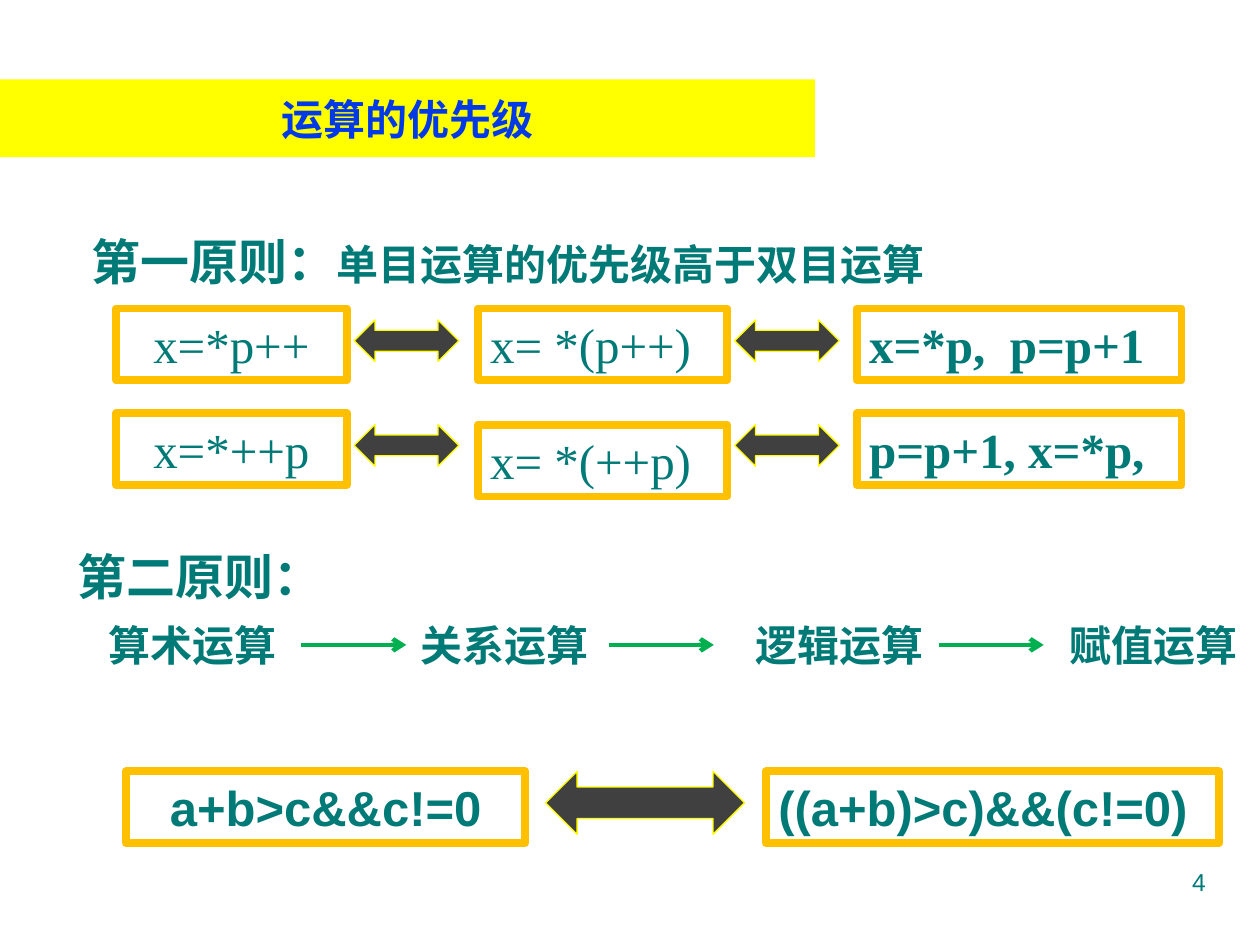
import pptx
import pptx.dml.color
import pptx.enum.shapes
import pptx.enum.text
import pptx.oxml
import pptx.oxml.ns
import pptx.util
from pptx.util import Cm

COLORS = {"text": "007A77", "title": "0039E5", "banner": "FFFF00", "frame": "FFC000",
          "arrow": "404040", "arrow_edge": "FFFF00", "step": "00B050"}
ALIGN = pptx.enum.text.PP_ALIGN
SHAPE = pptx.enum.shapes.MSO_SHAPE
SERIF, SANS = "Times New Roman", "Arial"
LINE_HEIGHT = 1.45


def rgb(name):
    """Return the named colour."""
    return pptx.dml.color.RGBColor.from_string(COLORS[name])


def write(shape, runs, font=SERIF, bold=True, align=ALIGN.LEFT, color="text",
          wrap=True, grow=True):
    """Write (text, size) runs into the first paragraph of a shape."""
    frame = shape.text_frame
    frame.word_wrap = wrap
    fit = pptx.enum.text.MSO_AUTO_SIZE
    frame.auto_size = fit.SHAPE_TO_FIT_TEXT if grow else fit.NONE
    paragraph = frame.paragraphs[0]
    paragraph.alignment = align
    for text, size in runs:
        run = paragraph.add_run()
        run.text = text
        run.font.name = font
        run.font.size = pptx.util.Pt(size)
        run.font.bold = bold
        run.font.color.rgb = rgb(color)


def add_label(slide, left, top, width, height, runs, **style):
    """Add a text box."""
    box = slide.shapes.add_textbox(Cm(left), Cm(top), Cm(width), Cm(height))
    write(box, runs, **style)


def add_formula(slide, left, top, width, text, **style):
    """Add a framed expression."""
    box = slide.shapes.add_shape(SHAPE.RECTANGLE, Cm(left), Cm(top), Cm(width), Cm(LINE_HEIGHT))
    box.shadow.inherit = False
    box.fill.background()
    box.line.color.rgb = rgb("frame")
    box.line.width = pptx.util.Pt(4.5)
    box.text_frame.vertical_anchor = pptx.enum.text.MSO_ANCHOR.TOP
    write(box, [(text, 28)], **style)


def add_equivalence(slide, left, top, width, height):
    """Add a double-headed block arrow."""
    arrow = slide.shapes.add_shape(SHAPE.LEFT_RIGHT_ARROW, Cm(left), Cm(top), Cm(width), Cm(height))
    arrow.shadow.inherit = False
    arrow.fill.solid()
    arrow.fill.fore_color.rgb = rgb("arrow")
    arrow.line.color.rgb = rgb("arrow_edge")
    arrow.line.width = pptx.util.Pt(0.75)


def add_step_arrow(slide, left, y, length):
    """Add a horizontal line with an open arrowhead."""
    line = slide.shapes.add_connector(pptx.enum.shapes.MSO_CONNECTOR.STRAIGHT,
                                      Cm(left), Cm(y), Cm(left + length), Cm(y))
    line.line.color.rgb = rgb("step")
    line.line.width = pptx.util.Pt(2.5)
    namespace = pptx.oxml.ns.nsdecls("a")
    outline = line.line._get_or_add_ln()
    outline.append(pptx.oxml.parse_xml(f'<a:tailEnd {namespace} type="arrow"/>'))
    outline.addnext(pptx.oxml.parse_xml(f"<a:effectLst {namespace}/>"))


def add_title(slide, left, top, width, height):
    """Turn the title placeholder into the banner."""
    title = slide.shapes.title
    title.left, title.top, title.width, title.height = map(Cm, (left, top, width, height))
    title.fill.solid()
    title.fill.fore_color.rgb = rgb("banner")
    title.text_frame.vertical_anchor = pptx.enum.text.MSO_ANCHOR.MIDDLE
    write(title, [("运算的优先级", 24)], font=SANS, align=ALIGN.CENTER, color="title", grow=False)


def add_first_rule(slide, left, top):
    """Add the first principle and its rows of equivalent expressions."""
    add_label(slide, left, top, 17.3, LINE_HEIGHT,
              [("第一原则：", 28), ("单目运算的优先级高于双目运算", 24)], wrap=False)
    rows = [("x=*p++", "x= *(p++)", "x=*p,  p=p+1", 0),
            ("x=*++p", "x= *(++p)", "p=p+1, x=*p,", 0.23)]
    for index, (source, grouped, expanded, drop) in enumerate(rows):
        y = top + 1.67 + 2.11 * index
        add_formula(slide, left + 0.74, y, 4.65, source, bold=False, align=ALIGN.CENTER)
        add_formula(slide, left + 8.03, y + drop, 5.03, grouped, bold=False)
        add_formula(slide, left + 15.67, y, 6.55, expanded)
        for offset in (5.54, 13.21):
            add_equivalence(slide, left + offset, y + 0.23, 2.11, 0.84)


def add_second_rule(slide, left, top):
    """Add the second principle, its order of operations and an example."""
    add_label(slide, left, top, 5.44, LINE_HEIGHT, [("第二原则：", 28)], wrap=False)
    steps = [("算术运算", 0.61), ("关系运算", 6.91), ("逻辑运算", 13.67), ("赋值运算", 19.99)]
    for text, offset in steps:
        add_label(slide, left + offset, top + 1.47, 3.89, 1.27, [(text, 24)], wrap=False)
    for offset in (4.75, 10.95, 17.6):
        add_step_arrow(slide, left + offset, top + 2.1, 2.12)
    y = top + 4.65
    add_formula(slide, left + 1.22, y, 8.05, "a+b>c&&c!=0", font=SANS, align=ALIGN.CENTER)
    add_equivalence(slide, left + 9.68, y, 4.01, 1.27)
    add_formula(slide, left + 14.12, y, 9.14, "((a+b)>c)&&(c!=0)", font=SANS)


def main():
    """Build and save the slide."""
    presentation = pptx.Presentation()
    presentation.slide_width, presentation.slide_height = Cm(25.4), Cm(19.05)
    slide = presentation.slides.add_slide(presentation.slide_layouts[5])
    add_title(slide, 0, 1.6, 16.43, 1.57)
    add_first_rule(slide, 1.6, 4.55)
    add_second_rule(slide, 1.32, 10.9)
    add_label(slide, 18.21, 17.35, 6.35, 1.32, [("4", 14)], font=SANS, bold=False,
              align=ALIGN.RIGHT, grow=False)
    presentation.save("out.pptx")


if __name__ == "__main__":
    main()
